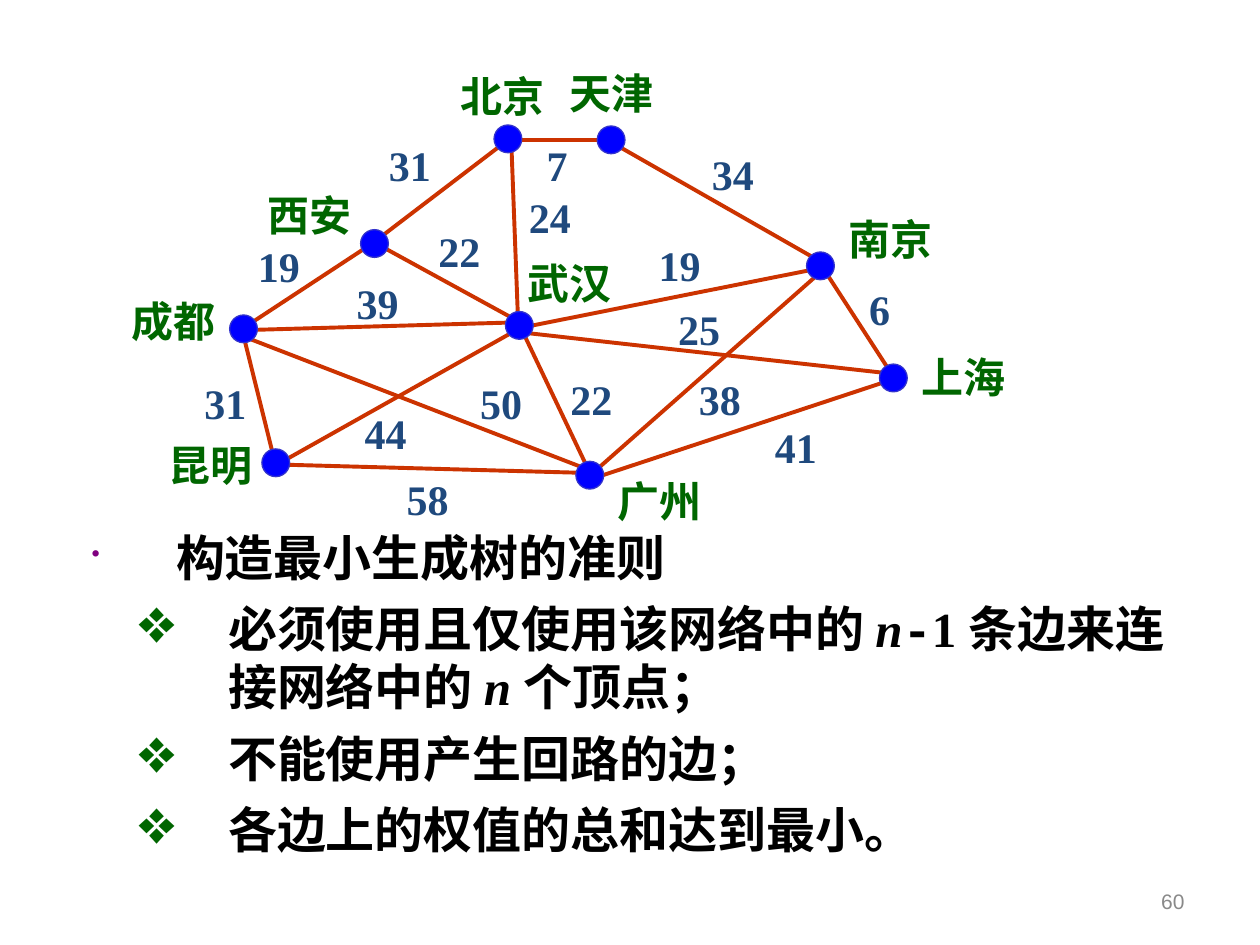
from dataclasses import dataclass

from lxml.etree import SubElement
from pptx import Presentation
from pptx.dml.color import RGBColor
from pptx.enum.shapes import MSO_CONNECTOR, MSO_SHAPE
from pptx.enum.text import MSO_ANCHOR, MSO_AUTO_SIZE, PP_ALIGN
from pptx.oxml.ns import qn
from pptx.util import Cm, Pt

COLOURS = {
    "road": "CC3300",
    "dot": "0000FF",
    "dot edge": "3333CC",
    "city": "006600",
    "weight": "1F497D",
    "text": "000000",
    "main bullet": "800080",
    "page number": "898989",
}
SERIF = "Times New Roman"
DOT_SIZE = 0.56
LABEL_HEIGHT = 1.27
CITY_WIDTH = 2.25

Point = tuple[float, float]


@dataclass
class City:
    name: str
    dot: Point
    label: Point


@dataclass
class Road:
    start: Point
    end: Point
    weight: int
    label: Point


@dataclass
class Bullet:
    mark: str
    colour: str
    size: int
    level: int
    margin: float
    hanging: float


# Cities and weighted roads, in centimetres
CITIES = [
    City("武汉", (10.19, 6.28), (10.39, 5.06)),
    City("昆明", (5.28, 9.05), (3.14, 8.74)),
    City("南京", (16.26, 5.08), (16.85, 4.17)),
    City("北京", (9.96, 2.52), (9.04, 1.3)),
    City("上海", (17.73, 7.34), (18.33, 6.96)),
    City("成都", (4.63, 6.35), (2.41, 5.83)),
    City("西安", (7.27, 4.63), (5.15, 3.69)),
    City("广州", (11.61, 9.3), (12.2, 9.46)),
    City("天津", (12.04, 2.54), (11.23, 1.24)),
]
ROADS = [
    Road((10.52, 6.65), (11.89, 9.53), 22, (11.25, 7.4)),
    Road((5.11, 6.48), (7.44, 4.95), 19, (4.95, 4.73)),
    Road((7.75, 4.72), (10.11, 2.92), 31, (7.59, 2.69)),
    Road((5.51, 9.19), (4.88, 6.65), 31, (3.87, 7.48)),
    Road((5.79, 9.25), (10.31, 6.71), 44, (7.1, 8.09)),
    Road((10.31, 2.95), (10.44, 6.38), 24, (10.41, 3.73)),
    Road((10.64, 6.58), (16.36, 5.44), 19, (13.03, 4.7)),
    Road((11.99, 9.5), (16.48, 5.54), 38, (13.84, 7.4)),
    Road((16.66, 5.51), (17.91, 7.44), 6, (17.27, 5.59)),
    Road((12.09, 9.6), (17.93, 7.67), 41, (15.37, 8.37)),
    Road((5.79, 9.37), (11.68, 9.53), 58, (7.95, 9.42)),
    Road((5.11, 6.65), (10.36, 6.5), 39, (6.94, 5.46)),
    Road((7.75, 5), (10.49, 6.5), 22, (8.59, 4.42)),
    Road((5.03, 6.83), (11.81, 9.45), 50, (9.43, 7.48)),
    Road((10.59, 6.71), (17.86, 7.52), 25, (13.42, 5.99)),
    Road((10.49, 2.82), (12.04, 2.82), 7, (10.77, 2.69)),
    Road((12.47, 2.95), (16.43, 5.21), 34, (14.1, 2.87)),
]

# Rules for the spanning tree: a bullet and its (text, font, italic) spans
MAIN = Bullet("•", "main bullet", 50, 0, 1.7, 1.7)
RULE = Bullet("❖", "city", 128, 1, 2.75, 1.8)
RULES = [
    (MAIN, [("构造最小生成树的准则", "Calibri", False)]),
    (RULE, [
        ("必须使用且仅使用该网络中的 ", SERIF, False),
        ("n", SERIF, True),
        ("-", "Courier New", False),
        ("1 条边来连接网络中的 ", SERIF, False),
        ("n ", SERIF, True),
        ("个顶点；", SERIF, False),
    ]),
    (RULE, [("不能使用产生回路的边；", SERIF, False)]),
    (RULE, [("各边上的权值的总和达到最小。", SERIF, False)]),
]


def colour(name: str) -> RGBColor:
    return RGBColor.from_string(COLOURS[name])


def add_span(paragraph, text: str, ink: str, **formats) -> None:
    span = paragraph.add_run()
    span.text = text
    span.font.color.rgb = colour(ink)
    for name, value in formats.items():
        setattr(span.font, name, value)


def add_box(shapes, place: Point, width: float, height: float, **formats):
    box = shapes.add_textbox(Cm(place[0]), Cm(place[1]), Cm(width), Cm(height))
    for name, value in formats.items():
        setattr(box.text_frame, name, value)
    return box.text_frame


def add_label(shapes, place: Point, width: float, text: str, ink: str) -> None:
    frame = add_box(shapes, place, width, LABEL_HEIGHT,
                    word_wrap=False, auto_size=MSO_AUTO_SIZE.SHAPE_TO_FIT_TEXT)
    add_span(frame.paragraphs[0], text, ink, size=Pt(24), name=SERIF, bold=True)


def add_road(shapes, road: Road) -> None:
    ends = [Cm(value) for value in road.start + road.end]
    line = shapes.add_connector(MSO_CONNECTOR.STRAIGHT, *ends)
    line.line.color.rgb = colour("road")
    line.line.width = Pt(2.25)
    SubElement(line._element.spPr, qn("a:effectLst"))


def add_dot(shapes, city: City) -> None:
    left, top = city.dot
    dot = shapes.add_shape(MSO_SHAPE.OVAL, Cm(left), Cm(top), Cm(DOT_SIZE), Cm(DOT_SIZE))
    dot.shadow.inherit = False
    dot.fill.solid()
    dot.fill.fore_color.rgb = colour("dot")
    dot.line.color.rgb = colour("dot edge")
    dot.line.width = Pt(0.75)


def set_bullet(paragraph, bullet: Bullet) -> None:
    paragraph.level = bullet.level
    properties = paragraph._p.get_or_add_pPr()
    properties.set("marL", str(Cm(bullet.margin)))
    properties.set("indent", str(-Cm(bullet.hanging)))
    ink = SubElement(properties, qn("a:buClr"))
    SubElement(ink, qn("a:srgbClr"), val=COLOURS[bullet.colour])
    SubElement(properties, qn("a:buSzPct"), val=str(bullet.size * 1000))
    SubElement(properties, qn("a:buChar"), char=bullet.mark)


def add_rules(shapes) -> None:
    frame = add_box(shapes, (1.6, 10.5), 22.43, 7.72, word_wrap=True)
    for index, (bullet, spans) in enumerate(RULES):
        paragraph = frame.add_paragraph() if index else frame.paragraphs[0]
        set_bullet(paragraph, bullet)
        if index:
            paragraph.space_before = Pt(7)
        for text, font, italic in spans:
            add_span(paragraph, text, "text", size=Pt(28), name=font, bold=True, italic=italic)


def add_page_number(shapes) -> None:
    frame = add_box(shapes, (18.21, 17.65), 5.92, 1.02,
                    word_wrap=True, vertical_anchor=MSO_ANCHOR.MIDDLE)
    frame.paragraphs[0].alignment = PP_ALIGN.RIGHT
    add_span(frame.paragraphs[0], "60", "page number", size=Pt(12), name="Arial")


def add_network(shapes) -> None:
    for road in ROADS:
        add_road(shapes, road)
    for city in CITIES:
        add_dot(shapes, city)
    for city in CITIES:
        add_label(shapes, city.label, CITY_WIDTH, city.name, "city")
    for road in ROADS:
        digits = str(road.weight)
        add_label(shapes, road.label, 0.47 + 0.44 * len(digits), digits, "weight")


def main() -> None:
    deck = Presentation()
    deck.slide_width, deck.slide_height = Cm(25.4), Cm(19.05)
    page = deck.slides.add_slide(deck.slide_layouts[6])
    add_rules(page.shapes)
    add_page_number(page.shapes)
    add_network(page.shapes.add_group_shape().shapes)
    deck.save("out.pptx")


if __name__ == "__main__":
    main()
